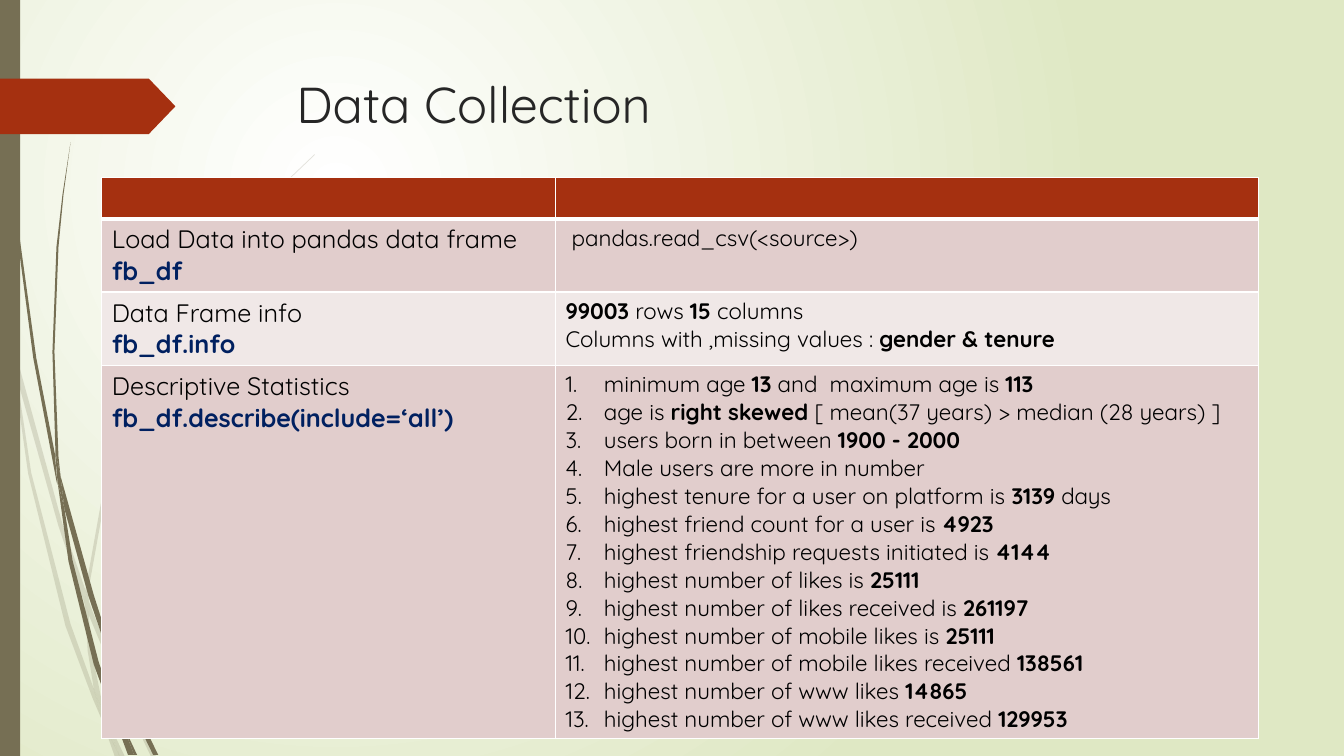
from lxml import etree
from pptx import Presentation
from pptx.dml.color import RGBColor
from pptx.enum.shapes import MSO_SHAPE as Shape
from pptx.enum.text import MSO_ANCHOR as Anchor, PP_ALIGN as Align
from pptx.oxml.ns import qn
from pptx.util import Inches, Pt

FONT = "Quicksand"
WHITE = RGBColor(0xFF, 0xFF, 0xFF)
BLACK = RGBColor(0, 0, 0)
CHARCOAL = RGBColor(0x26, 0x26, 0x26)
NAVY = RGBColor(0x00, 0x20, 0x60)
RUST = RGBColor(0xA5, 0x30, 0x10)
OLIVE = RGBColor(0x76, 0x6F, 0x54)
PALE_GREEN = RGBColor(0xDF, 0xE8, 0xC4)
BAND_DARK = RGBColor(0xE1, 0xCD, 0xCC)
BAND_LIGHT = RGBColor(0xF0, 0xE8, 0xE7)

TITLE = "Data Collection"
# Each step: label, code, findings (bold between **), numbered or not
STEPS = [
    ("Load Data into pandas data frame", "fb_df", [" pandas.read_csv(<source>)"], False),
    ("Data Frame info", "fb_df.info", [
        "**99003** rows **15** columns",
        "Columns with ,missing values : **gender & tenure**",
    ], False),
    ("Descriptive Statistics", "fb_df.describe(include=‘all’)", [
        "minimum age **13** and  maximum age is **113**",
        "age is **right skewed **[ mean(37 years) > median (28 years) ]",
        "users born in between **1900 - 2000**",
        "Male users are more in number",
        "highest tenure for a user on platform is **3139** days",
        "highest friend count for a user is **4923**",
        "highest friendship requests initiated is **4144**",
        "highest number of likes is **25111**",
        "highest number of likes received is **261197**",
        "highest number of mobile likes is **25111**",
        "highest number of mobile likes received **138561**",
        "highest number of www likes **14865**",
        "highest number of www likes received **129953**",
    ], True),
]
COLUMN_WIDTHS = (4.5, 6.97)
ROW_HEIGHTS = (0.41, 0.72, 0.73, 3.7)

# Corner points of each piece of grass, in inches
LIGHT_GRASS = [
    [(0.11, 3.5), (0.09, 3.22), (0, 2.82), (0, 2.99), (0.1, 3.44)],
    [(0.58, 5.22), (0.84, 5.99), (0.85, 5.86), (0.62, 5.2), (0.14, 3.45), (0.17, 3.76)],
    [(0.92, 6.07), (0.88, 5.96), (0.88, 6.1), (1.23, 6.94), (1.5, 7.51), (1.55, 7.51),
     (1.27, 6.92)],
    [(1.19, 7.51), (1.24, 7.51), (1.05, 7.11)],
    [(0.93, 6.83), (0.7, 6.19), (0.31, 4.69), (0.17, 3.76), (0.11, 3.5), (0.28, 4.7),
     (0.65, 6.21), (0.92, 6.93), (1.01, 7.14), (0.99, 7.07)],
    [(0.84, 5.99), (0.87, 6.46), (0.93, 6.83), (0.96, 6.92), (1.05, 7.11), (1.03, 7.06),
     (0.91, 6.46), (0.88, 6.1), (0.88, 6.08)],
    [(0.88, 5.84), (1.1, 4.62), (1.6, 3.49), (2.29, 2.45), (2.68, 1.98), (2.9, 1.75),
     (3.12, 1.54), (3.12, 1.53), (2.89, 1.75), (2.68, 1.97), (2.28, 2.44), (1.58, 3.48),
     (1.07, 4.61), (0.85, 5.84), (0.85, 5.86), (0.88, 5.96)],
    [(1.01, 7.14), (1.14, 7.51), (1.19, 7.51)],
    [(0.88, 6.08), (0.88, 6.1), (0.88, 5.96), (0.85, 5.86), (0.84, 5.99)],
    [(0.96, 6.92), (0.93, 6.83), (0.99, 7.07), (1.01, 7.14), (1.19, 7.51), (1.05, 7.11)],
]
DARK_GRASS = [
    [(0.07, 1.1), (0.17, 2.33), (0.33, 3.55), (0.56, 4.77), (0.57, 4.81), (0.55, 4.57),
     (0.55, 4.53), (0.36, 3.55), (0.19, 2.32), (0.08, 1.09), (0.05, 0.48), (0.04, 0),
     (0.03, 0), (0.04, 0.48)],
    [(0.88, 5.92), (1.06, 6.45), (1.06, 6.31), (0.93, 5.9), (0.6, 4.72), (0.64, 5.05)],
    [(1.13, 6.49), (1.1, 6.41), (1.11, 6.56), (1.32, 7.08), (1.52, 7.49), (1.57, 7.49),
     (1.36, 7.06)],
    [(1.1, 6.91), (0.98, 6.57), (0.72, 5.56), (0.64, 5.05), (0.57, 4.77), (0.68, 5.57),
     (0.93, 6.59), (1.11, 7.08), (1.17, 7.22), (1.16, 7.17)],
    [(0.6, 4.72), (0.58, 4.53), (0.54, 3.49), (0.58, 2.45), (0.63, 1.93), (0.7, 1.41),
     (0.62, 1.93), (0.56, 2.45), (0.52, 3.49), (0.55, 4.49)],
    [(1.33, 7.49), (1.36, 7.49), (1.22, 7.19)],
    [(0.57, 4.77), (0.64, 5.05), (0.6, 4.72), (0.55, 4.49), (0.55, 4.53)],
    [(1.11, 6.33), (1.25, 5.52), (1.58, 4.76), (2.05, 4.06), (2.31, 3.74), (2.45, 3.59),
     (2.61, 3.44), (2.6, 3.44), (2.45, 3.58), (2.31, 3.73), (2.04, 4.05), (1.56, 4.74),
     (1.22, 5.51), (1.06, 6.31), (1.1, 6.41)],
    [(1.17, 7.22), (1.27, 7.49), (1.31, 7.49)],
    [(1.06, 6.45), (1.1, 6.91), (1.16, 7.06), (1.22, 7.19), (1.21, 7.16), (1.11, 6.56),
     (1.09, 6.51)],
    [(1.06, 6.45), (1.09, 6.51), (1.11, 6.56), (1.1, 6.41), (1.06, 6.31)],
    [(1.16, 7.06), (1.1, 6.91), (1.16, 7.17), (1.17, 7.22), (1.3, 7.49), (1.33, 7.49),
     (1.22, 7.19)],
]


def add_element(parent, tag, **attributes):
    return etree.SubElement(parent, qn(tag), attributes)


def write(para, text, size, color=BLACK, bold=False):
    """Add text to a paragraph; parts between ** are bold."""
    for index, part in enumerate(text.split("**")):
        if part:
            span = para.add_run()
            span.text = part
            span.font.name, span.font.size = FONT, Pt(size)
            span.font.bold = bold or index % 2 == 1
            span.font.color.rgb = color


def number(para):
    properties = para._p.get_or_add_pPr()
    properties.set("marL", str(Inches(0.38)))
    properties.set("indent", str(-Inches(0.38)))
    add_element(properties, "a:buFont", typeface="+mj-lt")
    add_element(properties, "a:buAutoNum", type="arabicPeriod")


def paint(shape, color):
    shape.shadow.inherit = False
    shape.fill.solid()
    shape.fill.fore_color.rgb = color
    shape.line.fill.background()


def add_grass(page, points, opacity):
    corners = [(Inches(x), Inches(y)) for x, y in points]
    builder = page.shapes.build_freeform(*corners[0])
    builder.add_line_segments(corners[1:], close=True)
    grass = builder.convert_to_shape()
    paint(grass, OLIVE)
    if opacity < 100:
        tint = grass._element.spPr.find(qn("a:solidFill"))[0]
        add_element(tint, "a:alpha", val=str(opacity * 1000))


def set_background(page):
    fill = page.background.fill
    fill.gradient()
    for position, (stop, color) in enumerate(zip(fill.gradient_stops, (WHITE, PALE_GREEN))):
        stop.color.rgb = color
        stop.position = position
    gradient = page.background._cSld.find(".//" + qn("a:gradFill"))
    gradient.remove(gradient.find(qn("a:lin")))
    circle = etree.Element(qn("a:path"), path="circle")
    add_element(circle, "a:fillToRect", l="50000", t="50000", r="100000", b="100000")
    gradient.find(qn("a:gsLst")).addnext(circle)


def style_cell(cell, color, bottom=1):
    cell.fill.solid()
    cell.fill.fore_color.rgb = color
    properties = cell._tc.get_or_add_tcPr()
    for index, (side, width) in enumerate(zip("LRTB", (1, 1, 1, bottom))):
        border = etree.Element(qn("a:ln" + side), w=str(Pt(width)))
        add_element(add_element(border, "a:solidFill"), "a:srgbClr", val=str(WHITE))
        properties.insert(index, border)


def add_steps_table(page):
    table = page.shapes.add_table(
        len(ROW_HEIGHTS), len(COLUMN_WIDTHS), Inches(1.01), Inches(1.76),
        Inches(sum(COLUMN_WIDTHS)), Inches(sum(ROW_HEIGHTS))).table
    for column, width in zip(table.columns, COLUMN_WIDTHS):
        column.width = Inches(width)
    for row, height in zip(table.rows, ROW_HEIGHTS):
        row.height = Inches(height)
    for cell in table.rows[0].cells:
        style_cell(cell, RUST, bottom=3)
    for index, (label, code, findings, numbered) in enumerate(STEPS, 1):
        step, result = table.rows[index].cells
        for cell in (step, result):
            style_cell(cell, BAND_DARK if index % 2 else BAND_LIGHT)
        write(step.text_frame.paragraphs[0], label, 18)
        write(step.text_frame.add_paragraph(), code, 18, color=NAVY, bold=True)
        frame = result.text_frame
        for position, finding in enumerate(findings):
            para = frame.add_paragraph() if position else frame.paragraphs[0]
            if numbered:
                number(para)
            write(para, finding, 16)


def main():
    deck = Presentation()
    deck.slide_width, deck.slide_height = Inches(13.33), Inches(7.5)
    page = deck.slides.add_slide(deck.slide_layouts[5])
    set_background(page)

    for pieces, opacity in ((LIGHT_GRASS, 20), (DARK_GRASS, 100)):
        for points in pieces:
            add_grass(page, points, opacity)
    side_bar = page.shapes.add_shape(Shape.RECTANGLE, 0, 0, Inches(0.2), Inches(7.5))
    paint(side_bar, OLIVE)
    arrow = page.shapes.add_shape(Shape.PENTAGON, 0, Inches(0.78), Inches(1.74), Inches(0.55))
    arrow.adjustments[0] = 0.48
    paint(arrow, RUST)

    title = page.shapes.title
    title.left, title.top = Inches(2.84), Inches(0.68)
    title.width, title.height = Inches(9.75), Inches(1.4)
    title.text_frame.vertical_anchor = Anchor.TOP
    heading = title.text_frame.paragraphs[0]
    heading.alignment = Align.LEFT
    write(heading, TITLE, 36, color=CHARCOAL)

    add_steps_table(page)
    deck.save("out.pptx")


if __name__ == "__main__":
    main()
